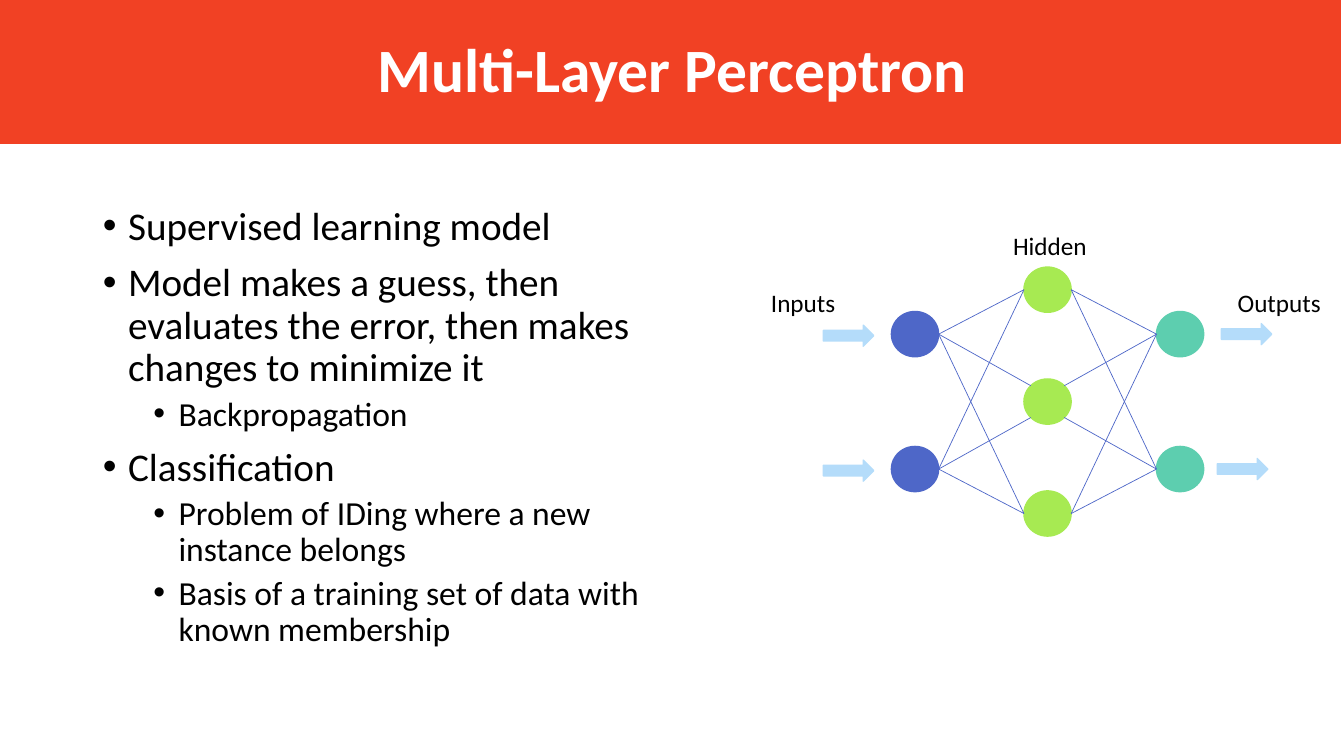
from itertools import product

from lxml.etree import SubElement
from pptx import Presentation
from pptx.dml.color import RGBColor
from pptx.enum.shapes import MSO_CONNECTOR, MSO_SHAPE
from pptx.enum.text import MSO_ANCHOR, MSO_AUTO_SIZE, PP_ALIGN
from pptx.oxml.ns import qn
from pptx.util import Cm, Pt

RED = RGBColor(0xF1, 0x41, 0x24)
WHITE = RGBColor(0xFF, 0xFF, 0xFF)
BLACK = RGBColor(0, 0, 0)
BLUE = RGBColor(0x4E, 0x67, 0xC8)
GREEN = RGBColor(0xA7, 0xEA, 0x52)
TEAL = RGBColor(0x5D, 0xCE, 0xAF)
PALE_BLUE = RGBColor(0xB4, 0xDC, 0xFA)

POINTS = [
    (0, "Supervised learning model"),
    (0, "Model makes a guess, then evaluates the error, then makes changes to minimize it"),
    (1, "Backpropagation"),
    (0, "Classification"),
    (1, "Problem of IDing where a new instance belongs"),
    (1, "Basis of a training set of data with known membership"),
]
NODE_W, NODE_H = 1.19, 1.14
ARROW_W, ARROW_H = 1.27, 0.53


def write(paragraph, text, size=18, color=BLACK, bold=False, align=PP_ALIGN.LEFT,
          spacing=1.0, before=0):
    """Put formatted text into a paragraph."""
    paragraph.alignment = align
    paragraph.line_spacing = spacing
    paragraph.space_before = Pt(before)
    run = paragraph.add_run()
    run.text = text
    run.font.name = "Calibri"
    run.font.size = Pt(size)
    run.font.bold = bold
    run.font.color.rgb = color


def place(shape, left, top, width, height):
    """Move and size a shape, in centimetres."""
    shape.left, shape.top = Cm(left), Cm(top)
    shape.width, shape.height = Cm(width), Cm(height)


def add_solid(slide, kind, left, top, width, height, color):
    """Add a preset shape whose fill and outline share one colour."""
    solid = slide.shapes.add_shape(kind, Cm(left), Cm(top), Cm(width), Cm(height))
    solid.shadow.inherit = False
    solid.fill.solid()
    solid.fill.fore_color.rgb = color
    solid.line.color.rgb = color
    solid.line.width = Pt(1)
    return solid


def add_link(slide, start, end):
    """Draw a thin line between two points."""
    link = slide.shapes.add_connector(MSO_CONNECTOR.STRAIGHT, *map(Cm, start + end))
    link.line.color.rgb = BLUE
    link.line.width = Pt(0.5)
    SubElement(link._element.spPr, qn("a:effectLst"))


def add_label(slide, text, left, top, width):
    """Add a caption of the network."""
    label = slide.shapes.add_textbox(Cm(left), Cm(top), Cm(width), Cm(1.02))
    label.text_frame.word_wrap = True
    write(label.text_frame.paragraphs[0], text)


def set_bullet(paragraph, level):
    """Give a paragraph a round bullet with a hanging indent."""
    paragraph.level = level
    properties = paragraph._p.get_or_add_pPr()
    properties.set("marL", str(Cm(0.635 + 1.27 * level)))
    properties.set("indent", str(Cm(-0.635)))
    SubElement(properties, qn("a:buFont")).set("typeface", "Arial")
    SubElement(properties, qn("a:buChar")).set("char", "•")


def build_header(slide, left, top, width, height):
    """Fill the header band and set the title on it."""
    band = add_solid(slide, MSO_SHAPE.RECTANGLE, left, top, width, height, RED)
    slide.shapes._spTree.insert(2, band._element)
    title = slide.shapes.title
    place(title, left + 2.42, top, 29.21, height + 0.07)
    title.text_frame.auto_size = MSO_AUTO_SIZE.NONE
    title.text_frame.vertical_anchor = MSO_ANCHOR.MIDDLE
    write(title.text_frame.paragraphs[0], "Multi-Layer Perceptron", size=44,
          color=WHITE, bold=True, align=PP_ALIGN.CENTER, spacing=0.9)


def build_points(slide, left, top, width, height):
    """Fill the body with the two-level list."""
    body = slide.placeholders[1]
    place(body, left, top, width, height)
    frame = body.text_frame
    frame.auto_size = MSO_AUTO_SIZE.NONE
    for number, (level, text) in enumerate(POINTS):
        paragraph = frame.add_paragraph() if number else frame.paragraphs[0]
        write(paragraph, text, size=28 - 4 * level, spacing=0.9, before=10 - 5 * level)
        set_bullet(paragraph, level)


def build_network(slide, left, top):
    """Draw the layers, their links, the arrows and the captions."""
    middle_x, middle_y = left + 7.22, top + 4.43
    input_x, output_x = middle_x - 3.34, middle_x + 3.34
    outer_rows = [middle_y - 1.7, middle_y + 1.7]
    hidden_rows = [middle_y - 2.82, middle_y, middle_y + 2.82]

    layers = [(input_x, outer_rows, BLUE), (middle_x, hidden_rows, GREEN),
              (output_x, outer_rows, TEAL)]
    for x, rows, color in layers:
        for y in rows:
            add_solid(slide, MSO_SHAPE.OVAL, x - NODE_W / 2, y - NODE_H / 2,
                      NODE_W, NODE_H, color)

    for side, outer_y, hidden_y in product((-1, 1), outer_rows, hidden_rows):
        outer = (middle_x + side * (3.34 - NODE_W / 2), outer_y)
        if hidden_y == middle_y:  # these links meet the node on its diagonal
            rise = 0.4 if outer_y > middle_y else -0.4
            hidden = (middle_x + side * 0.42, middle_y + rise)
        else:
            hidden = (middle_x + side * NODE_W / 2, hidden_y)
        add_link(slide, outer, hidden)

    for y, output_shift in zip(outer_rows, (11.6, 11.5)):
        for x, drop in ((left + 1.57, 0.04), (left + output_shift, 0)):
            add_solid(slide, MSO_SHAPE.RIGHT_ARROW, x, y + drop - ARROW_H / 2,
                      ARROW_W, ARROW_H, PALE_BLUE)

    add_label(slide, "Inputs", left, top + 1.42, 2.39)
    add_label(slide, "Outputs", left + 11.76, top + 1.42, 2.79)
    add_label(slide, "Hidden", left + 6.1, top, 2.72)


def main():
    """Build the slide and save it."""
    deck = Presentation()
    deck.slide_width, deck.slide_height = Cm(33.87), Cm(19.05)
    slide = deck.slides.add_slide(deck.slide_layouts[1])
    build_header(slide, -0.08, 0, 33.87, 3.61)
    build_points(slide, 2.34, 5.08, 15.8, 12.09)
    build_network(slide, 19.18, 5.69)
    deck.save("out.pptx")


main()
